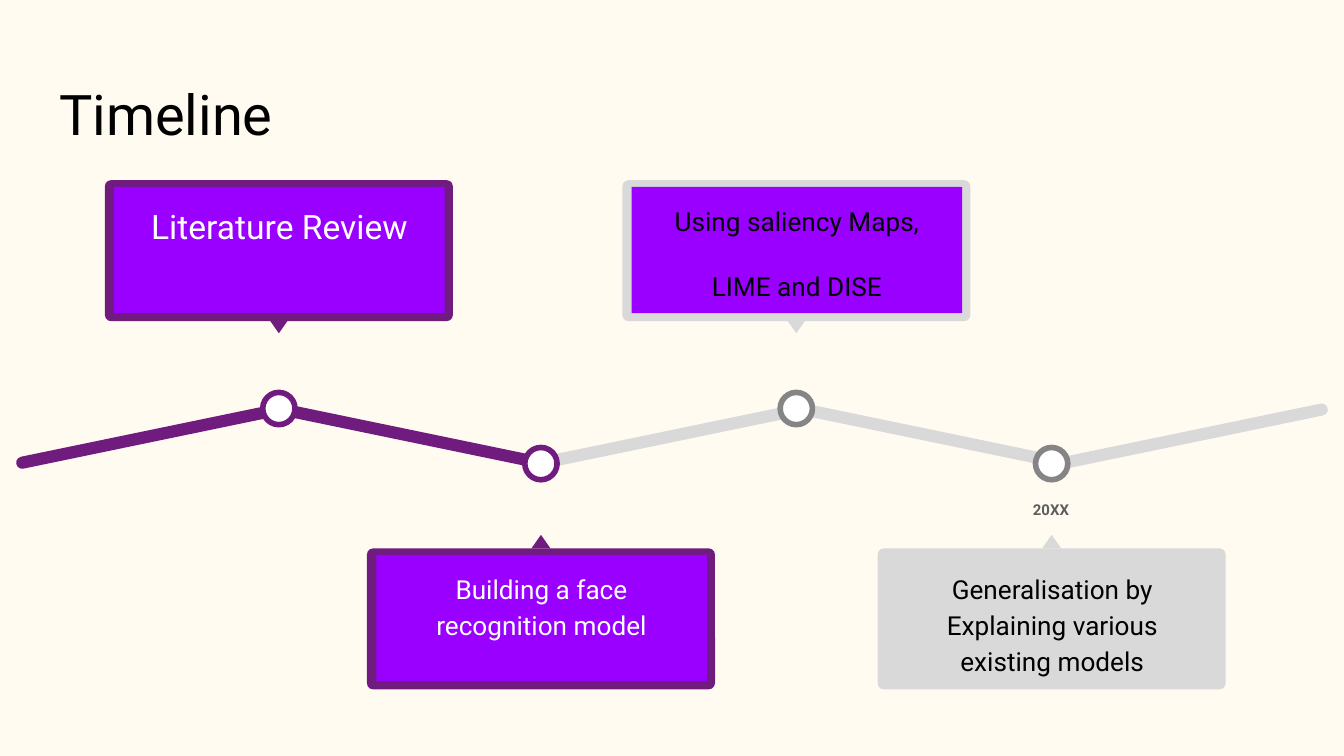
from dataclasses import dataclass

from pptx import Presentation
from pptx.dml.color import RGBColor
from pptx.enum.shapes import MSO_SHAPE as SHAPE
from pptx.enum.text import MSO_ANCHOR as ANCHOR, PP_ALIGN as ALIGN
from pptx.util import Inches, Pt


@dataclass(frozen=True)
class Theme:
    """Colours, font and type sizes of the slide."""
    font: str = "Roboto"
    cream: str = "FFFBF0"
    ink: str = "000000"
    white: str = "FFFFFF"
    plum: str = "701C7F"
    violet: str = "9900FF"
    silver: str = "D9D9D9"
    gray: str = "858585"
    slate: str = "5E5E5E"
    title: int = 30
    lead: int = 18
    body: int = 14
    date: int = 8


T = Theme()


def rgb(color):
    """Turn a hex string into a colour."""
    return RGBColor.from_string(color)


def write(shape, text, size, color, bold=False, align=ALIGN.CENTER,
          anchor=ANCHOR.TOP, spacing=1.15, gap=16):
    """Fill a shape with one paragraph per line of text."""
    tf = shape.text_frame
    tf.word_wrap = True
    tf.vertical_anchor = anchor
    tf.margin_left = tf.margin_right = tf.margin_top = tf.margin_bottom = Inches(0.1)
    for i, line in enumerate(text.split("\n")):
        p = tf.add_paragraph() if i else tf.paragraphs[0]
        p.alignment = align
        p.line_spacing = spacing
        p.space_before = Pt(gap if i else 0)
        r = p.add_run()
        r.text = line
        r.font.name, r.font.size, r.font.bold = T.font, Pt(size), bold
        r.font.color.rgb = rgb(color)


def add_shape(s, kind, box, fill, line=None, rotation=0, radius=None):
    """Add a flat preset shape in a box of inches."""
    sp = s.shapes.add_shape(kind, *map(Inches, box))
    sp.shadow.inherit = False
    sp.rotation = rotation
    sp.fill.solid()
    sp.fill.fore_color.rgb = rgb(fill)
    if line:
        sp.line.color.rgb, sp.line.width = rgb(line), Pt(3)
    else:
        sp.line.fill.background()
    if radius is not None:
        sp.adjustments[0] = radius
    return sp


def add_title(s, box, text):
    """Place the slide title."""
    sp = s.shapes.title
    sp.left, sp.top, sp.width, sp.height = map(Inches, box)
    write(sp, text, T.title, T.ink, align=ALIGN.LEFT, spacing=1)


def add_path(s, box, colors):
    """Draw the zigzag path, one segment per colour."""
    left, top, width, height = box
    length = 2.04
    step = (width - length) / (len(colors) - 1)
    for i, color in enumerate(colors):
        add_shape(s, SHAPE.ROUNDED_RECTANGLE, (left + i * step, top, length, height),
                  color, rotation=11.7 if i % 2 else 348.3, radius=0.5)


def add_milestone(s, box, text, frame, fill, ring, size, color, above, date=None):
    """Draw a node and its callout, above or below the path."""
    left, top, width, height = box
    card, mid = 1.05, left + width / 2
    y = top if above else top + height - card
    tip = y + card - 0.01 if above else y - 0.1
    node = top + height - 0.24 if above else top
    add_shape(s, SHAPE.OVAL, (mid - 0.12, node, 0.24, 0.24), T.white, line=ring)
    add_shape(s, SHAPE.ROUNDED_RECTANGLE, (left, y, width, card), frame, radius=0.045)
    add_shape(s, SHAPE.ISOSCELES_TRIANGLE, (mid - 0.07, tip, 0.14, 0.1), frame,
              rotation=180 if above else 0)
    panel = add_shape(s, SHAPE.RECTANGLE,
                      (left + 0.07, y + 0.05, width - 0.13, card - 0.11), fill)
    write(panel, text, size, color)
    if date:
        label = s.shapes.add_textbox(
            *map(Inches, (mid - 0.53, node + 0.25, 1.05, 0.41)))
        write(label, date, T.date, T.slate, bold=True, anchor=ANCHOR.MIDDLE)


def main():
    """Build and save the timeline slide."""
    prs = Presentation()
    prs.slide_width = Inches(10)
    prs.slide_height = prs.slide_width * 9 // 16
    s = prs.slides.add_slide(prs.slide_layouts[5])
    s.background.fill.solid()
    s.background.fill.fore_color.rgb = rgb(T.cream)

    add_title(s, (0.34, 0.49, 9.32, 0.67), "Timeline")
    add_path(s, (0.1, 3.2, 9.8, 0.09), [T.plum] * 2 + [T.silver] * 3)

    done = dict(frame=T.plum, fill=T.violet, ring=T.plum, color=T.white)
    ahead = dict(frame=T.silver, ring=T.gray, color=T.ink)
    milestones = [
        (0.78, "Literature Review", dict(done, size=T.lead)),
        (2.73, "Building a face recognition model", dict(done, size=T.body)),
        (4.63, "Using saliency Maps,\nLIME and DISE",
         dict(ahead, fill=T.violet, size=T.body)),
        (6.53, "Generalisation by Explaining various existing models",
         dict(ahead, fill=T.silver, size=T.body, date="20XX")),
    ]
    for i, (left, text, style) in enumerate(milestones):
        above = i % 2 == 0
        box = (left, 1.34, 2.59, 1.82) if above else (left, 3.33, 2.59, 1.8)
        add_milestone(s, box, text, above=above, **style)

    prs.save("out.pptx")


if __name__ == "__main__":
    main()
